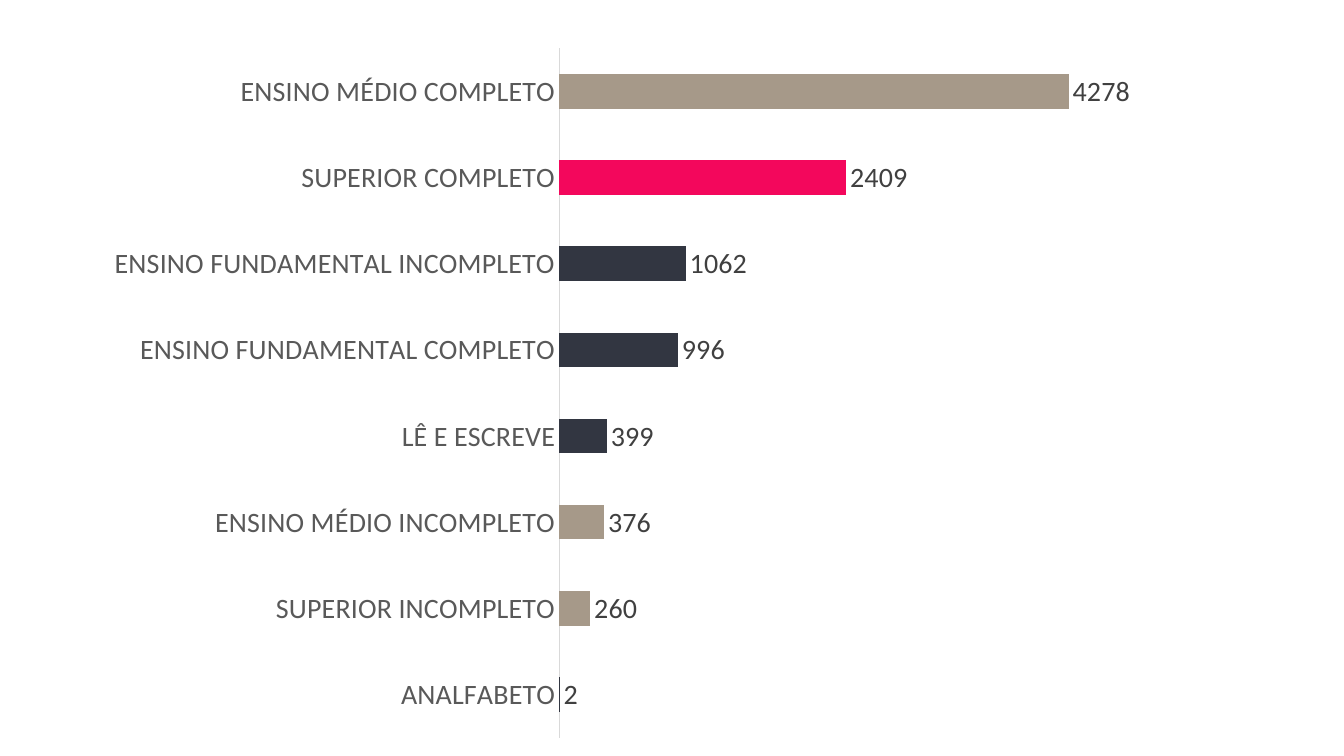
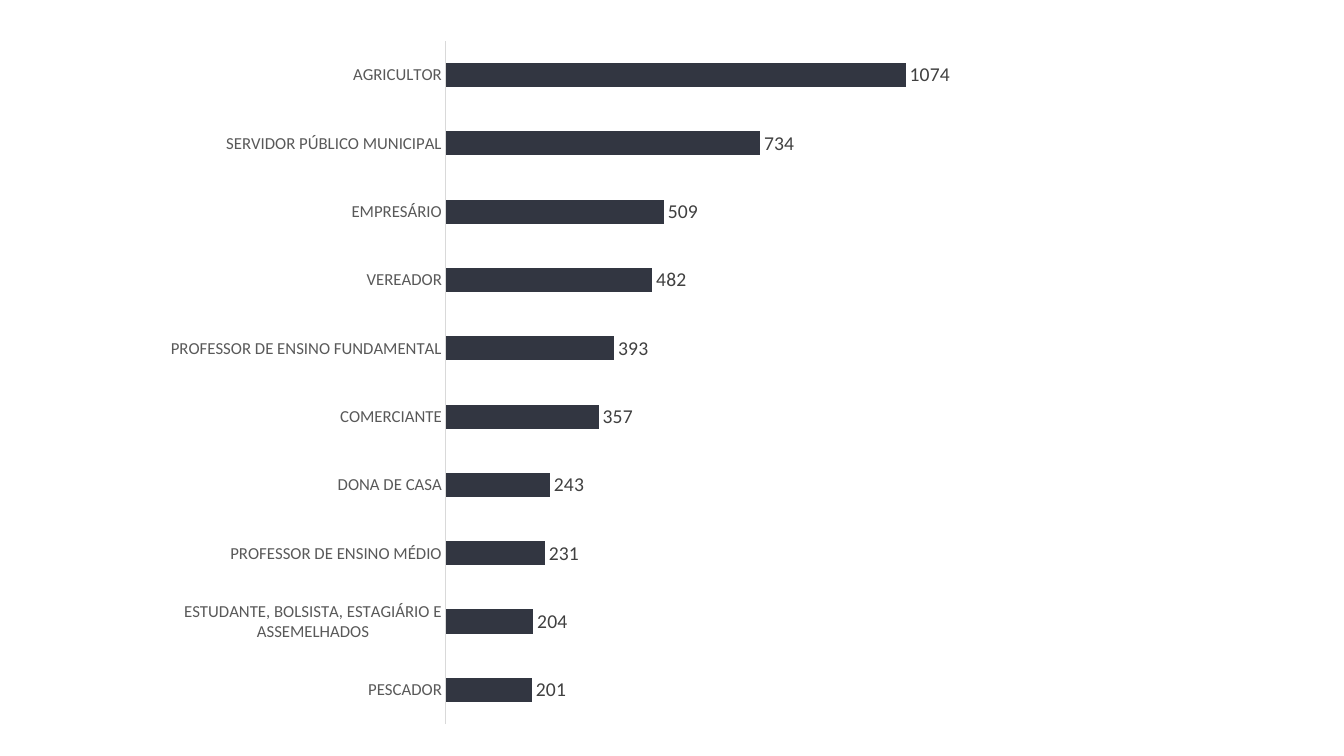
from lxml import etree
from pptx import Presentation
from pptx.chart import data as cd
from pptx.dml import color
from pptx.enum import chart as ec
from pptx.oxml import ns
from pptx.util import Pt

FONT = "Calibri"
DARK, SAND, PINK = "323641", "A69989", "F3075C"
LABEL, VALUE, RULE = "595959", "404040", "D9D9D9"


def rgb(code):
    return color.RGBColor.from_string(code)


def paint(fill, code):
    fill.solid()
    fill.fore_color.rgb = rgb(code)


def style(font, size, code):
    font.name = FONT
    font.size = Pt(size)
    font.color.rgb = rgb(code)


def place(chart, plot):
    area = chart._chartSpace.chart.plotArea
    for old in area.findall(ns.qn("c:layout")):
        area.remove(old)
    layout = etree.Element(ns.qn("c:layout"))
    manual = etree.SubElement(layout, ns.qn("c:manualLayout"))
    names = ("layoutTarget", "xMode", "yMode", "x", "y", "w", "h")
    for name, val in zip(names, ("inner", "edge", "edge", *plot)):
        etree.SubElement(manual, ns.qn("c:" + name)).set("val", str(val))
    area.insert(0, layout)


def bars(deck, box, rows, plot, top, sizes, gap, lap=0, tints=None):
    slide = deck.slides.add_slide(deck.slide_layouts[6])
    data = cd.CategoryChartData()
    data.categories = [name for name, count in rows]
    data.add_series("Series 1", [count for name, count in rows])
    kind = ec.XL_CHART_TYPE.BAR_CLUSTERED
    chart = slide.shapes.add_chart(kind, *map(Pt, box), data).chart
    chart.has_legend = chart.has_title = False
    style(chart.font, sizes[1], "000000")
    place(chart, plot)

    axis = chart.category_axis
    axis.major_tick_mark = axis.minor_tick_mark = ec.XL_TICK_MARK.NONE
    axis.has_major_gridlines = False
    style(axis.tick_labels.font, sizes[0], LABEL)
    axis.format.line.color.rgb = rgb(RULE)
    axis.format.line.width = Pt(0.75)
    scale = chart.value_axis
    scale.minimum_scale, scale.maximum_scale = 0, top
    scale.has_major_gridlines = False
    scale.visible = False

    group = chart.plots[0]
    group.gap_width, group.overlap = gap, lap
    group.vary_by_categories = False
    series = group.series[0]
    series.invert_if_negative = False
    paint(series.format.fill, DARK)
    for spot, (name, count) in enumerate(rows):
        if tints and name in tints:
            paint(series.points[spot].format.fill, tints[name])
    labels = series.data_labels
    labels.show_value = True
    labels.position = ec.XL_LABEL_POSITION.OUTSIDE_END
    style(labels.font, sizes[1], VALUE)


SCHOOL = [
    ("ANALFABETO", 2),
    ("SUPERIOR INCOMPLETO", 260),
    ("ENSINO MÉDIO INCOMPLETO", 376),
    ("LÊ E ESCREVE", 399),
    ("ENSINO FUNDAMENTAL COMPLETO", 996),
    ("ENSINO FUNDAMENTAL INCOMPLETO", 1062),
    ("SUPERIOR COMPLETO", 2409),
    ("ENSINO MÉDIO COMPLETO", 4278),
]
TINTS = {
    "SUPERIOR INCOMPLETO": SAND,
    "ENSINO MÉDIO INCOMPLETO": SAND,
    "SUPERIOR COMPLETO": PINK,
    "ENSINO MÉDIO COMPLETO": SAND,
}
JOBS = [
    ("PESCADOR", 201),
    ("ESTUDANTE, BOLSISTA, ESTAGIÁRIO E ASSEMELHADOS", 204),
    ("PROFESSOR DE ENSINO MÉDIO", 231),
    ("DONA DE CASA", 243),
    ("COMERCIANTE", 357),
    ("PROFESSOR DE ENSINO FUNDAMENTAL", 393),
    ("VEREADOR", 482),
    ("EMPRESÁRIO", 509),
    ("SERVIDOR PÚBLICO MUNICIPAL", 734),
    ("AGRICULTOR", 1074),
]

deck = Presentation()
deck.slide_width, deck.slide_height = Pt(960), Pt(540)
bars(deck, (78, 21, 756.5, 519), SCHOOL, (0.425, 0.026, 0.506, 0.949),
     4500, (20, 20), 150, -25, TINTS)
bars(deck, (78, 18, 607.5, 510), JOBS, (0.396, 0.022, 0.604, 0.957),
     1200, (12, 14), 182)
deck.save("out.pptx")
